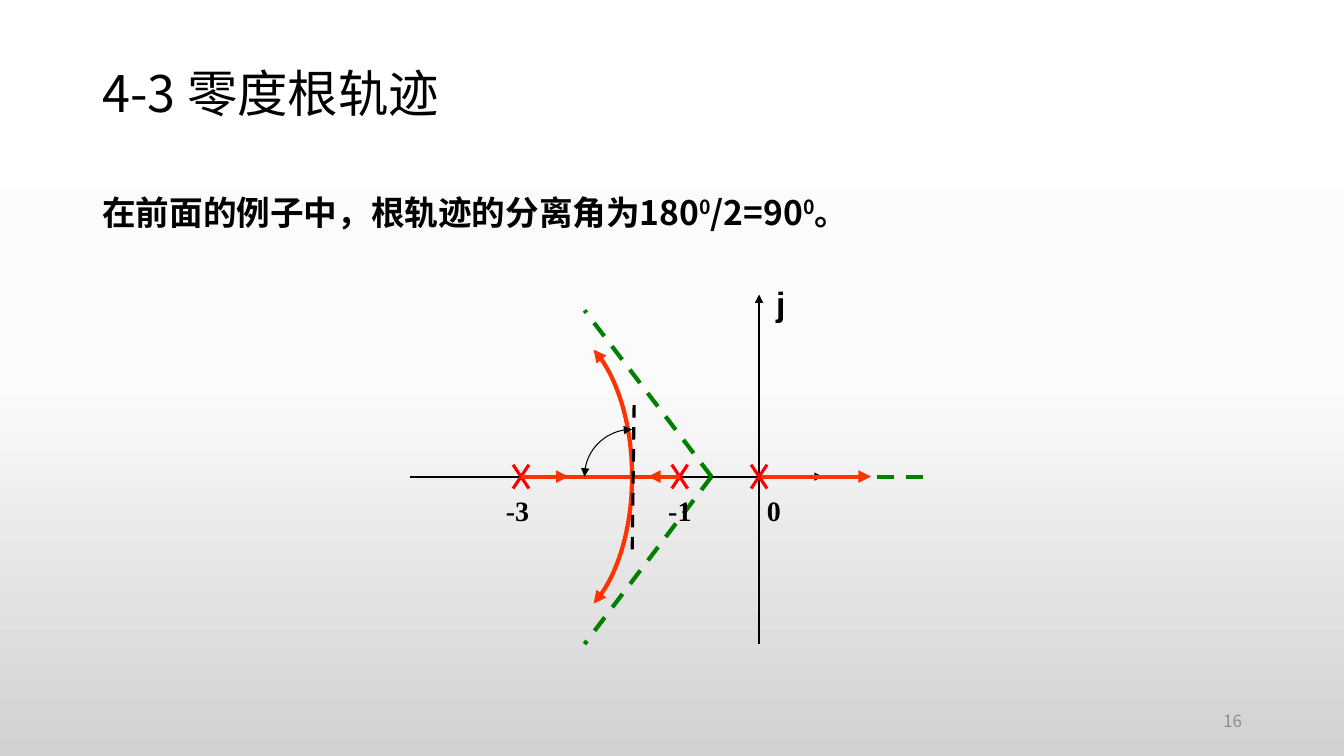
from copy import deepcopy
from dataclasses import dataclass

from lxml import etree
from pptx import Presentation
from pptx.dml.color import RGBColor
from pptx.enum.dml import MSO_LINE
from pptx.enum.shapes import MSO_CONNECTOR
from pptx.enum.text import MSO_ANCHOR, MSO_AUTO_SIZE, PP_ALIGN
from pptx.oxml.ns import qn
from pptx.util import Cm, Pt

STRAIGHT = MSO_CONNECTOR.STRAIGHT
DASH = MSO_LINE.DASH
TOP, MIDDLE = MSO_ANCHOR.TOP, MSO_ANCHOR.MIDDLE
GROW = MSO_AUTO_SIZE.SHAPE_TO_FIT_TEXT
LEFT, CENTER, RIGHT = PP_ALIGN.LEFT, PP_ALIGN.CENTER, PP_ALIGN.RIGHT

COLORS = {
    "black": "000000", "grey": "8C8C8C", "asymptote": "008000",
    "locus": "FF3300", "pole": "FF0000",
}
BACKGROUND = [(0, "FFFFFF"), (0.5, "FBFBFB"), (1, "D1D1D1")]
CJK, SERIF, SANS = "Noto Sans CJK SC", "Times New Roman", "Arial"

# Plot geometry in cm
Y0 = 12.01            # real axis
ORIGIN = 19.13        # imaginary axis
UNIT = 2.0            # one unit on the real axis
POLES = [ORIGIN + UNIT * s for s in (0, -1, -3)]
BREAKAWAY = 15.93
ARC_END = 14.73
CURVE_STEPS = 24

Point = tuple[float, float]


@dataclass
class Label:
    text: str
    box: tuple[float, float, float, float]
    size: float
    font: str
    color: str = "black"
    bold: bool = False
    align: int = LEFT
    anchor: int = TOP
    wrap: bool = False
    grow: bool = False


@dataclass
class Segment:
    start: Point
    end: Point
    color: str
    width: float
    dashed: bool = False
    arrow: bool = False


@dataclass
class Curve:
    points: tuple[Point, Point, Point, Point]   # cubic Bezier control points
    color: str
    width: float
    ends: tuple[str, ...]


def style_line(sp, color: str, width: float, dashed: bool, ends: tuple[str, ...]) -> None:
    sp.line.color.rgb = RGBColor.from_string(COLORS[color])
    sp.line.width = Pt(width)
    if dashed:
        sp.line.dash_style = DASH
    ln = sp.element.spPr.find(qn("a:ln"))
    for end in ends:
        etree.SubElement(ln, qn(f"a:{end}"), type="triangle")


def draw_segment(slide, seg: Segment) -> None:
    sp = slide.shapes.add_connector(STRAIGHT, *(Cm(v) for v in seg.start + seg.end))
    style_line(sp, seg.color, seg.width, seg.dashed, ("tailEnd",) if seg.arrow else ())
    etree.SubElement(sp.element.spPr, qn("a:effectLst"))


def bezier(points: tuple[Point, ...], t: float) -> Point:
    u = 1 - t
    weights = (u ** 3, 3 * u * u * t, 3 * u * t * t, t ** 3)
    x, y = (sum(w * p[i] for w, p in zip(weights, points)) for i in (0, 1))
    return Cm(x), Cm(y)


def draw_curve(slide, curve: Curve) -> None:
    track = [bezier(curve.points, i / CURVE_STEPS) for i in range(CURVE_STEPS + 1)]
    builder = slide.shapes.build_freeform(*track[0])
    builder.add_line_segments(track[1:], close=False)
    sp = builder.convert_to_shape()
    sp.fill.background()
    sp.shadow.inherit = False
    style_line(sp, curve.color, curve.width, False, curve.ends)


def draw_label(slide, label: Label) -> None:
    """Text between ^ marks becomes superscript."""
    tf = slide.shapes.add_textbox(*(Cm(v) for v in label.box)).text_frame
    tf.word_wrap = label.wrap
    tf.vertical_anchor = label.anchor
    if label.grow:
        tf.auto_size = GROW
    p = tf.paragraphs[0]
    p.alignment = label.align
    for i, part in enumerate(label.text.split("^")):
        r = p.add_run()
        r.text = part
        r.font.name = label.font
        r.font.size = Pt(label.size)
        r.font.bold = label.bold
        r.font.color.rgb = RGBColor.from_string(COLORS[label.color])
        rpr = r.font._element
        etree.SubElement(rpr, qn("a:ea"), typeface=label.font)
        if i % 2:
            rpr.set("baseline", "30000")


def paint_background(slide) -> None:
    fill = slide.background.fill
    fill.gradient()
    fill.gradient_angle = 270
    stops = slide.element.find(".//" + qn("a:gsLst"))
    stops.append(deepcopy(stops[0]))
    for stop, (position, color) in zip(fill.gradient_stops, BACKGROUND):
        stop.position = position
        stop.color.rgb = RGBColor.from_string(color)


def branch(side: int) -> Curve:
    """Complex branch of the locus: side -1 is above the real axis, 1 below."""
    points = tuple((x, Y0 + side * dy) for x, dy in
                   ((14.96, 3.2), (15.54, 2.57), (BREAKAWAY, 1.35), (BREAKAWAY, 0)))
    return Curve(points, "locus", 3, ("headEnd",))


def pole_cross(x: float) -> list[Segment]:
    dx, dy = 0.2, 0.3
    return [Segment((x + dx, Y0 - s * dy), (x - dx, Y0 + s * dy), "pole", 2.25)
            for s in (-1, 1)]


def real_axis(x1: float, x2: float, color: str, width: float, **style: bool) -> Segment:
    return Segment((x1, Y0), (x2, Y0), color, width, **style)


def main() -> None:
    prs = Presentation()
    prs.slide_width, prs.slide_height = Cm(33.87), Cm(19.05)
    slide = prs.slides.add_slide(prs.slide_layouts[6])
    paint_background(slide)

    zero, minus_one, minus_three = POLES
    apex = (17.93, Y0)
    # Angle between the real axis and the departure direction
    angle_arc = Curve(((BREAKAWAY, 10.82), (15.27, 10.82), (ARC_END, 11.35), (ARC_END, Y0)),
                      "black", 0.75, ("headEnd", "tailEnd"))

    # Plot parts, back to front
    parts = [
        real_axis(zero, 23.55, "asymptote", 3, dashed=True),
        real_axis(10.34, 20.73, "black", 1.5, arrow=True),
        Segment((zero, 16.23), (zero, 7.42), "black", 1.5, arrow=True),
        *(Segment(apex, (ARC_END, y), "asymptote", 3, dashed=True) for y in (7.82, 16.23)),
        branch(-1),
        real_axis(zero, 21.95, "locus", 3, arrow=True),
        *(cross for x in POLES for cross in pole_cross(x)),
        real_axis(minus_three, minus_one, "locus", 3),
        real_axis(minus_three, 14.33, "locus", 3, arrow=True),
        real_axis(minus_one, 16.33, "locus", 3, arrow=True),
        branch(1),
        Segment((15.98, 10.21), (15.93, 14.02), "black", 2.25, dashed=True),
        angle_arc,
    ]
    for part in parts:
        if isinstance(part, Curve):
            draw_curve(slide, part)
        else:
            draw_segment(slide, part)

    # Title, statement, axis labels and page number
    labels = [
        Label("4-3 零度根轨迹", (2.33, 1.02, 29.21, 2.61), 36, CJK, anchor=MIDDLE, wrap=True),
        Label("在前面的例子中，根轨迹的分离角为180^0^/2=90^0^。", (2.33, 4.7, 22.89, 1.27), 24, CJK,
              bold=True, wrap=True, grow=True),
        *(Label(text, (x, 12.32, w, 1.09), 20, SERIF, bold=True, grow=True)
          for text, x, w in (("-1", 16.59, 1.09), ("-3", 12.5, 1.09), ("0", 19.08, 0.86))),
        Label("j", (19.3, 7.01, 0.76, 1.3), 24, SANS, bold=True, align=CENTER, grow=True),
        Label("16", (23.93, 17.65, 7.62, 1.02), 12, CJK, "grey", align=RIGHT,
              anchor=MIDDLE, wrap=True),
    ]
    for label in labels:
        draw_label(slide, label)

    prs.save("out.pptx")


if __name__ == "__main__":
    main()
